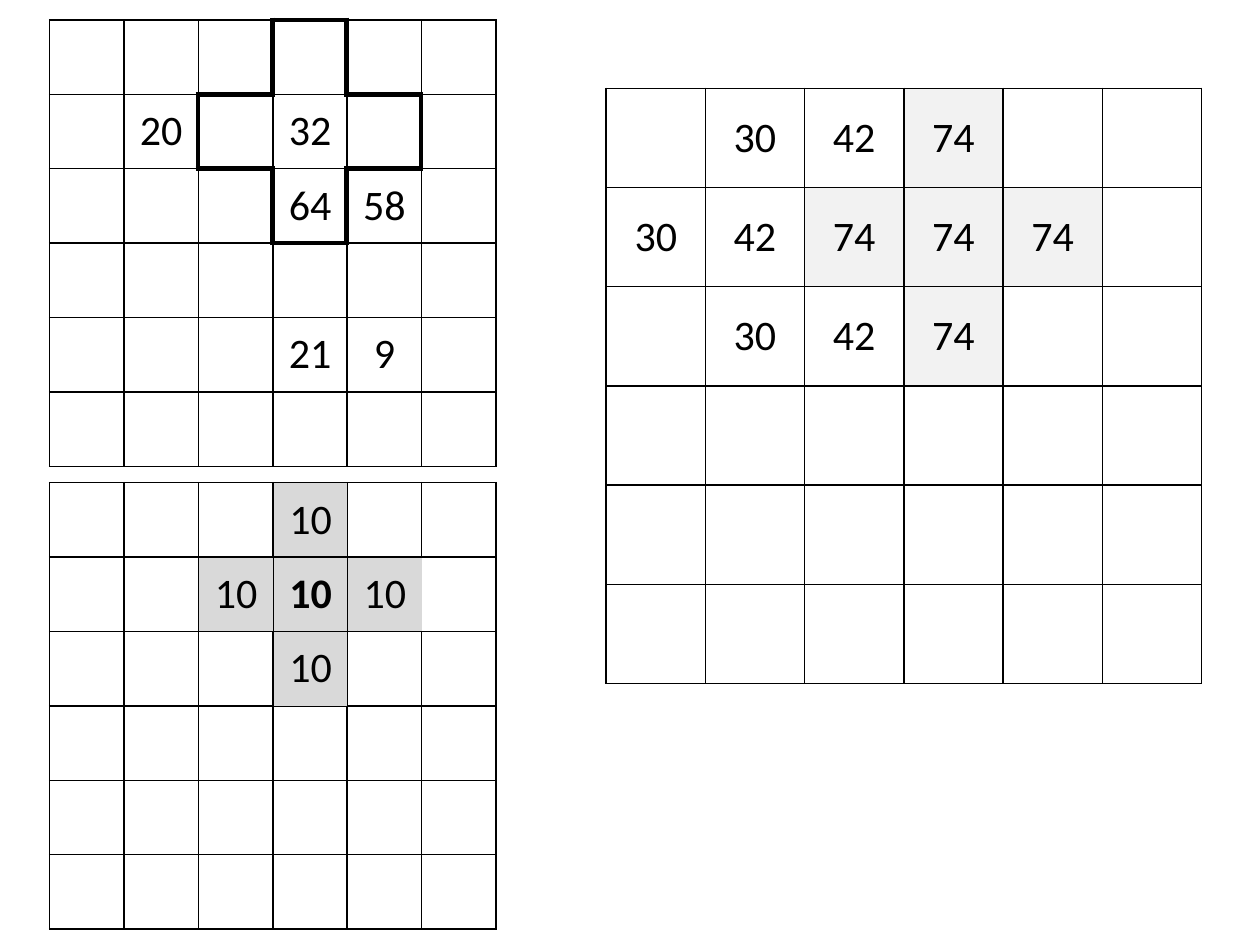
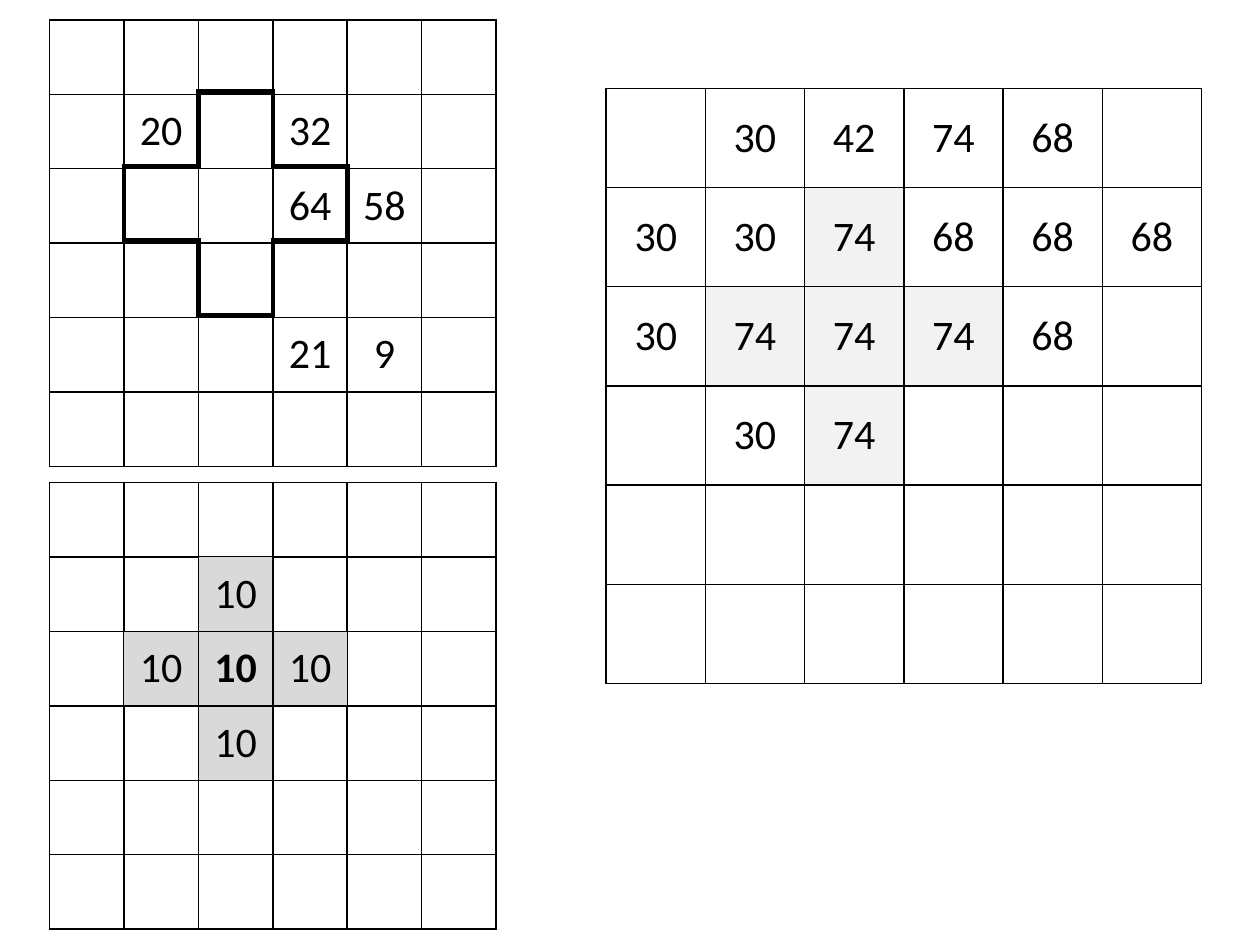
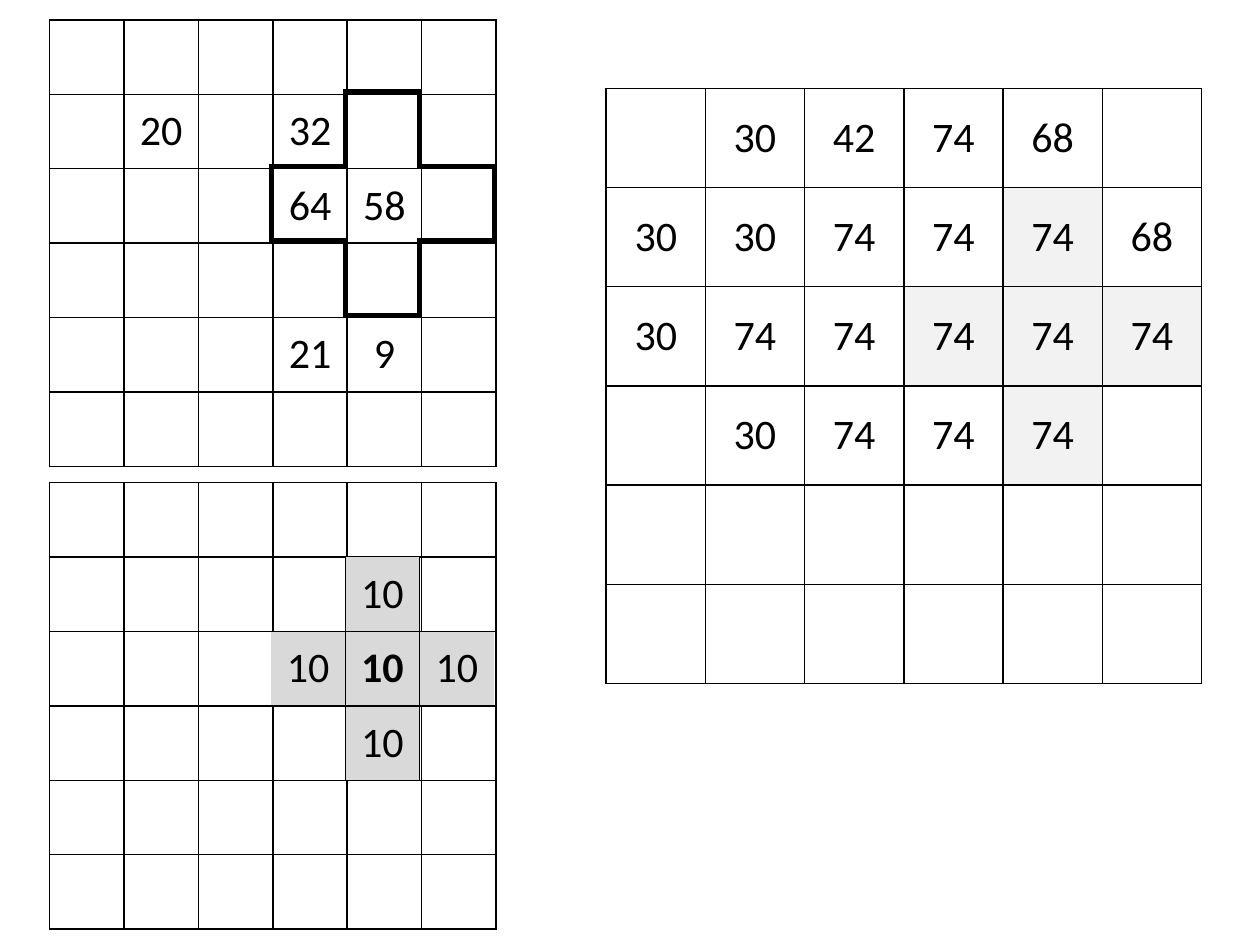
from lxml.etree import SubElement
from pptx import Presentation
from pptx.dml.color import RGBColor
from pptx.enum.text import MSO_ANCHOR, PP_ALIGN
from pptx.oxml.ns import qn
from pptx.util import Cm, Pt

COLORS = {"ink": "000000", "light": "F2F2F2", "mid": "D9D9D9"}
FONT, SIZE = "Calibri", 24
PLAIN = "{2D5ABB26-0587-4C30-8999-92F81FD0307C}"  # no style, no grid
SMALL, LARGE = 1.5, 2.0  # cell sides in cm
SIDES = {"lnL": (0, -1), "lnR": (0, 1), "lnT": (-1, 0), "lnB": (1, 0)}

# A dash stands for an empty cell.
EMPTY = ["- - - - - -"]
BLANK = EMPTY * 6
INPUT = EMPTY + [
    "- 20 - 32 - -",
    "- - - 64 58 -",
    "- - - - - -",
    "- - - 21 9 -",
    "- - - - - -",
]
KERNEL = ["- 10 -", "10 10 10", "- 10 -"]
WINDOW = ["- - -"] * 3

STEPS = [
    {
        "center": (1, 3), "kernel": (4.01, 9.73), "window": (3.99, 0.4),
        "result": ["- 30 42 74 - -", "30 42 74 74 74 -", "- 30 42 74 - -"] + EMPTY * 3,
    },
    {
        "center": (2, 2), "kernel": (2.5, 11.23), "window": (2.5, 1.85),
        "result": ["- 30 42 74 68 -", "30 30 74 68 68 68", "30 74 74 74 68 -",
                   "- 30 74 - - -"] + EMPTY * 2,
    },
    {
        "center": (2, 4), "kernel": (5.46, 11.23), "window": (5.46, 1.85),
        "result": ["- 30 42 74 68 -", "30 30 74 74 74 68", "30 74 74 74 74 74",
                   "- 30 74 74 74 -"] + EMPTY * 2,
    },
]


def in_cross(spot, center=(1, 1)):
    return abs(spot[0] - center[0]) + abs(spot[1] - center[1]) <= 1


def all_edges(spot, near):
    return True


def inner_edges(spot, near):
    return all(0 <= n <= 2 for n in near)


def cross_edges(spot, near):
    return in_cross(spot) != in_cross(near)


def set_edge(cell, side, width):
    """Draw one cell border, or hide it when width is 0."""
    line = SubElement(cell._tc.get_or_add_tcPr(), qn("a:" + side), w=str(Pt(width)))
    if width:
        fill = SubElement(line, qn("a:solidFill"))
        SubElement(fill, qn("a:srgbClr"), val=COLORS["ink"])
    else:
        SubElement(line, qn("a:noFill"))


def set_text(cell, text, bold):
    cell.vertical_anchor = MSO_ANCHOR.MIDDLE
    para = cell.text_frame.paragraphs[0]
    para.text = text
    para.alignment = PP_ALIGN.CENTER
    font = para.font
    font.name, font.size, font.bold = FONT, Pt(SIZE), bold
    font.color.rgb = RGBColor.from_string(COLORS["ink"])


def add_grid(slide, rows, place, side, edges=all_edges, width=1,
             center=None, shade=None, bold=None):
    """Add a table of square cells; shade the cross around center."""
    count = len(rows)
    span = Cm(side * count)
    table = slide.shapes.add_table(
        count, count, Cm(place[0]), Cm(place[1]), span, span).table
    table.first_row = table.horz_banding = False
    table._tbl.tblPr.find(qn("a:tableStyleId")).text = PLAIN
    for line in (*table.rows, *table.columns):
        if line in table.rows:
            line.height = Cm(side)
        else:
            line.width = Cm(side)
    for r, row in enumerate(rows):
        for c, text in enumerate(row.split()):
            cell, spot = table.cell(r, c), (r, c)
            for name, (down, right) in SIDES.items():
                near = (r + down, c + right)
                set_edge(cell, name, width if edges(spot, near) else 0)
            if center and in_cross(spot, center):
                cell.fill.solid()
                cell.fill.fore_color.rgb = RGBColor.from_string(COLORS[shade])
            else:
                cell.fill.background()
            if text != "-":
                set_text(cell, text, spot == bold)


def add_step(deck, step):
    slide = deck.slides.add_slide(deck.slide_layouts[6])
    add_grid(slide, step["result"], (12.22, 1.78), LARGE,
             center=step["center"], shade="light")
    add_grid(slide, BLANK, (1, 9.73), SMALL)
    add_grid(slide, KERNEL, step["kernel"], SMALL, inner_edges,
             center=(1, 1), shade="mid", bold=(1, 1))
    add_grid(slide, INPUT, (1, 0.4), SMALL)
    add_grid(slide, WINDOW, step["window"], SMALL, cross_edges, 3)


def main():
    deck = Presentation()
    deck.slide_width, deck.slide_height = Cm(25.4), Cm(19.05)
    for step in STEPS:
        add_step(deck, step)
    deck.save("out.pptx")


if __name__ == "__main__":
    main()
